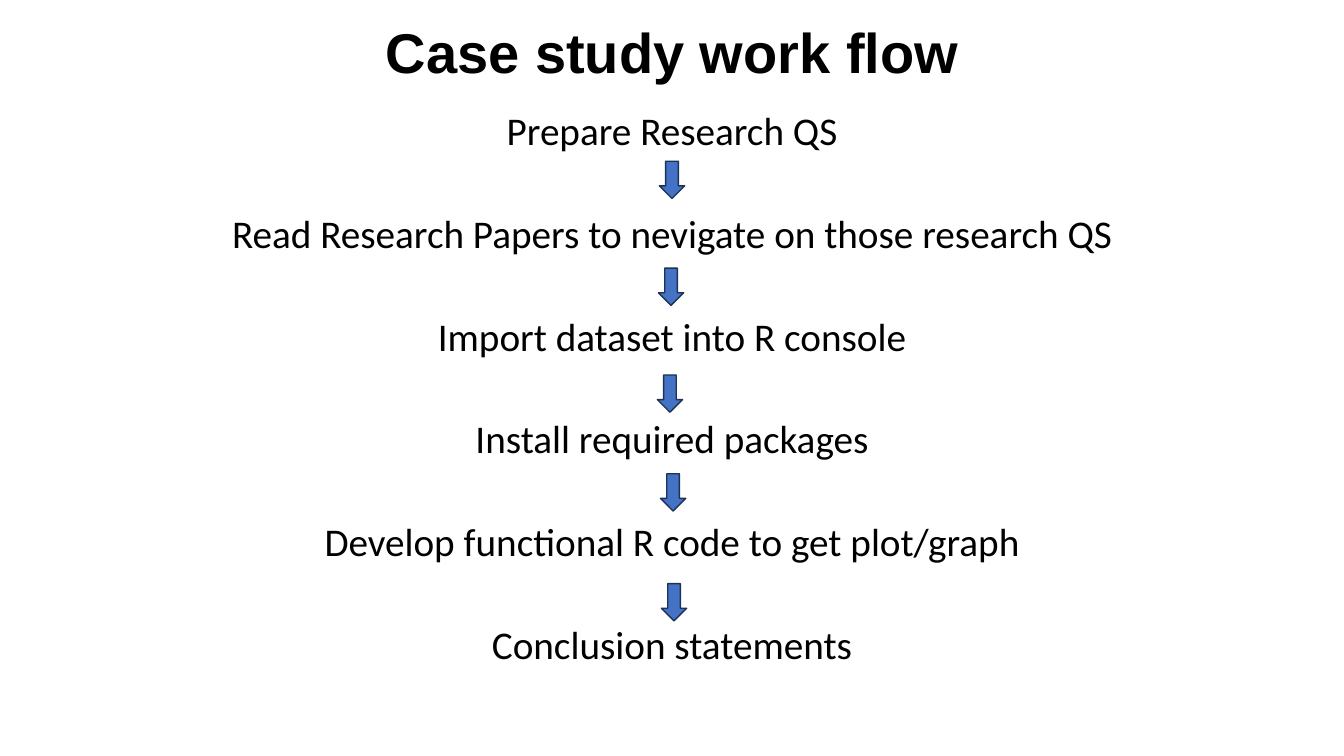
from pptx import Presentation
from pptx.dml.color import RGBColor as Rgb
from pptx.enum.shapes import MSO_SHAPE as Shape
from pptx.enum.text import MSO_ANCHOR as Anchor, PP_ALIGN as Align
from pptx.util import Inches, Pt

COLORS = {"back": "FFFFFF", "text": "000000", "arrow": "4472C4", "edge": "1E3256"}
STEPS = [
    "Prepare Research QS",
    "Read Research Papers to nevigate on those research QS",
    "Import dataset into R console",
    "Install required packages",
    "Develop functional R code to get plot/graph",
    "Conclusion statements",
]
ARROWS = [(49.06, 21.33), (48.99, 35.47), (48.91, 49.6), (49.14, 62.67), (49.21, 77.2)]


class Deck:
    """Holds the style and the current slide; lengths are percent of the slide."""

    def __init__(self, wide, high):
        self.deck = Presentation()
        self.deck.slide_width = Inches(wide)
        self.deck.slide_height = Inches(high)
        self.slide = self.deck.slides.add_slide(self.deck.slide_layouts[6])
        back = self.slide.background.fill
        back.solid()
        back.fore_color.rgb = self.color("back")

    def color(self, name):
        return Rgb.from_string(COLORS[name])

    def place(self, left, top, wide, high):
        full, tall = self.deck.slide_width, self.deck.slide_height
        return [round(part * size / 100)
                for part, size in zip((left, top, wide, high), (full, tall, full, tall))]

    def text(self, area, lines, font, size, pitch, gap=0, bold=False, anchor=Anchor.TOP):
        frame = self.slide.shapes.add_textbox(*self.place(*area)).text_frame
        frame.word_wrap = True
        frame.vertical_anchor = anchor
        frame.text = "\n".join(lines)
        for row, para in enumerate(frame.paragraphs):
            para.alignment = Align.CENTER
            para.line_spacing = pitch
            para.space_before = Pt(gap if row else 0)
            for run in para.runs:
                run.font.name = font
                run.font.size = Pt(size)
                run.font.bold = bold
                run.font.color.rgb = self.color("text")

    def arrow(self, left, top, wide=1.88, high=4.93):
        area = self.place(left, top, wide, high)
        arrow = self.slide.shapes.add_shape(Shape.DOWN_ARROW, *area)
        arrow.shadow.inherit = False
        arrow.fill.solid()
        arrow.fill.fore_color.rgb = self.color("arrow")
        arrow.line.color.rgb = self.color("edge")
        arrow.line.width = Pt(1)

    def save(self):
        self.deck.save("out.pptx")


def main():
    deck = Deck(13.33, 7.5)
    deck.text((0, 0, 100, 14.67), ["Case study work flow"], "Arial", 40, 0.9,
              bold=True, anchor=Anchor.MIDDLE)
    deck.text((0, 14.67, 100, 81.07), STEPS, "Calibri", 28, 0.8, gap=46.4)
    for left, top in ARROWS:
        deck.arrow(left, top)
    deck.save()


if __name__ == "__main__":
    main()
